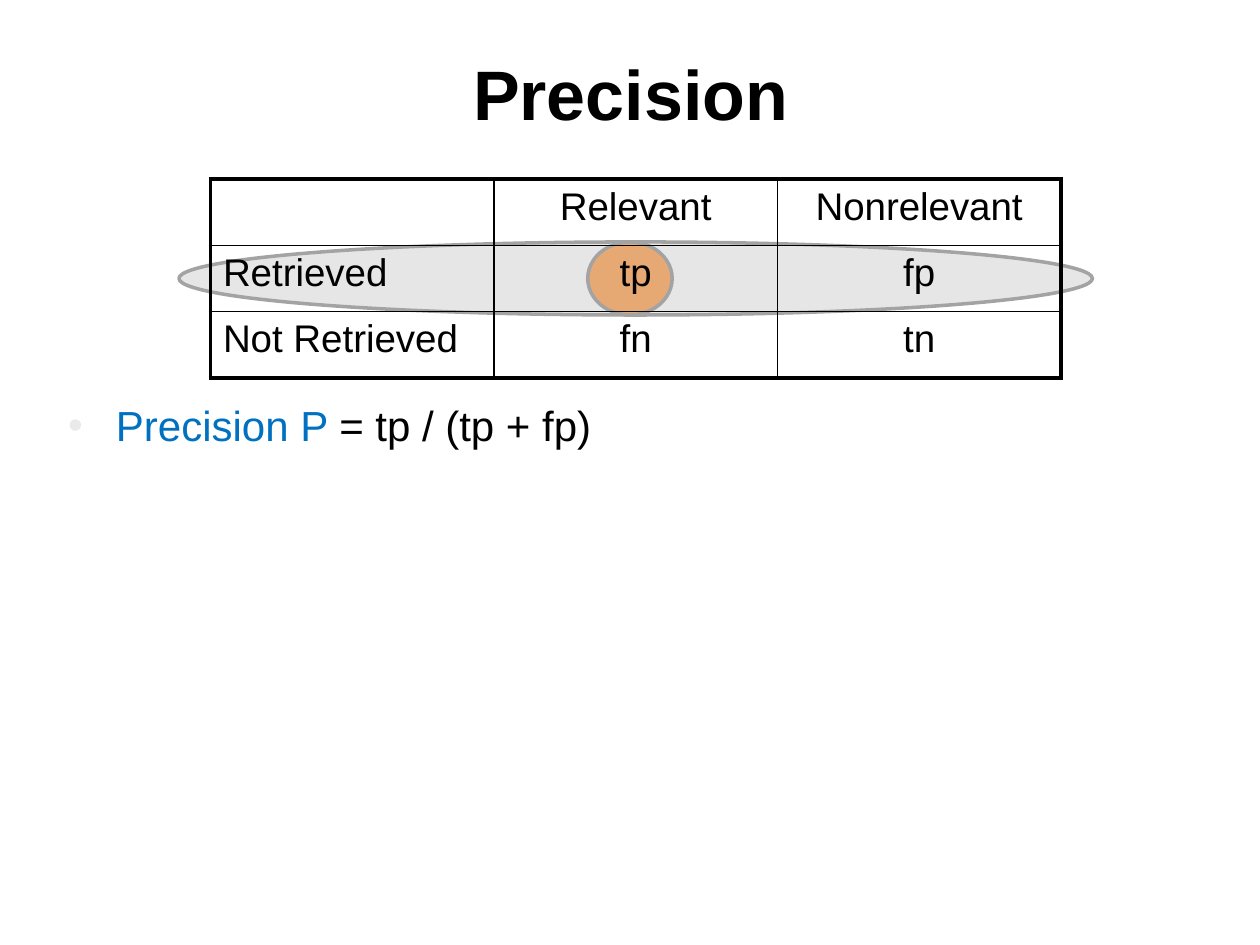
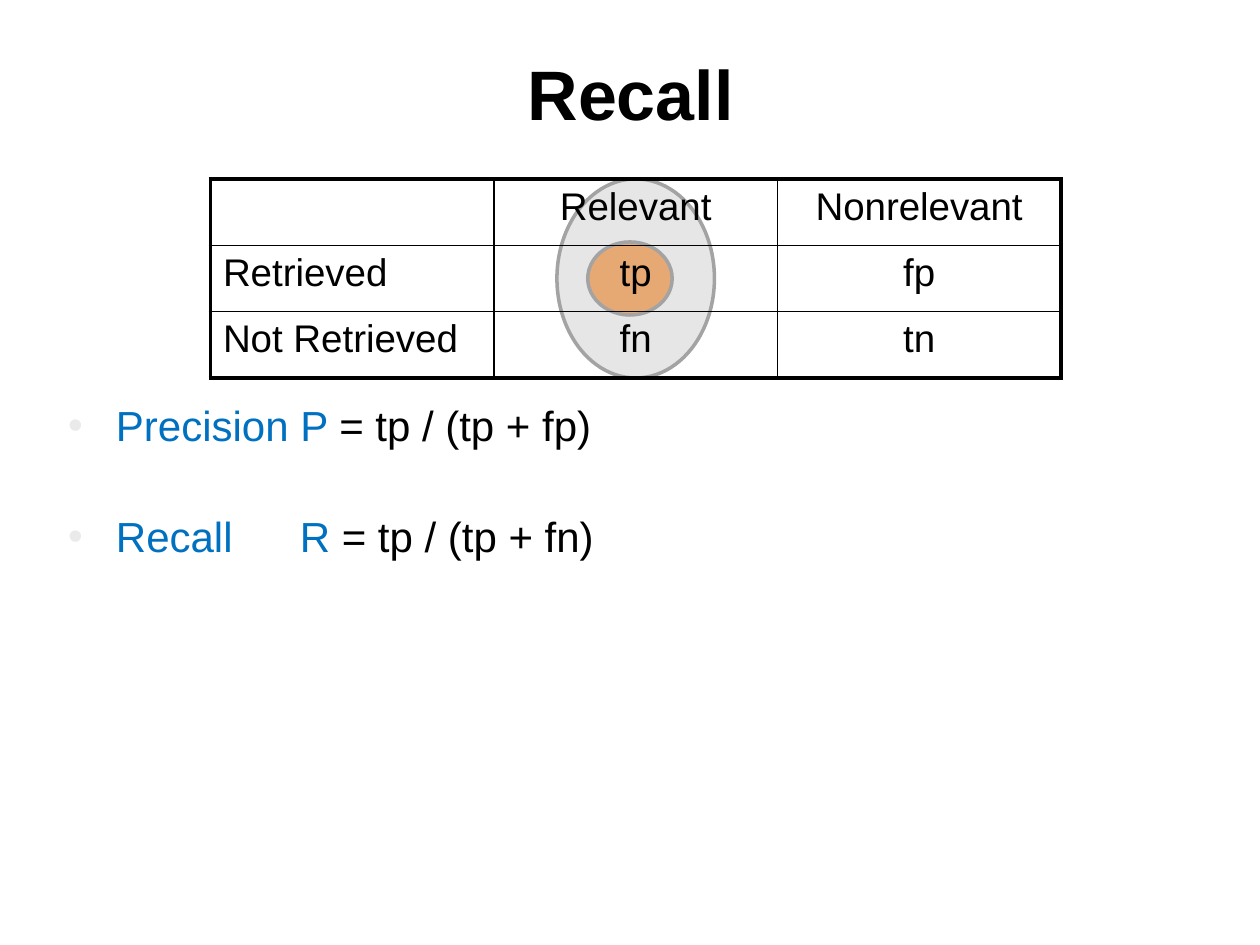
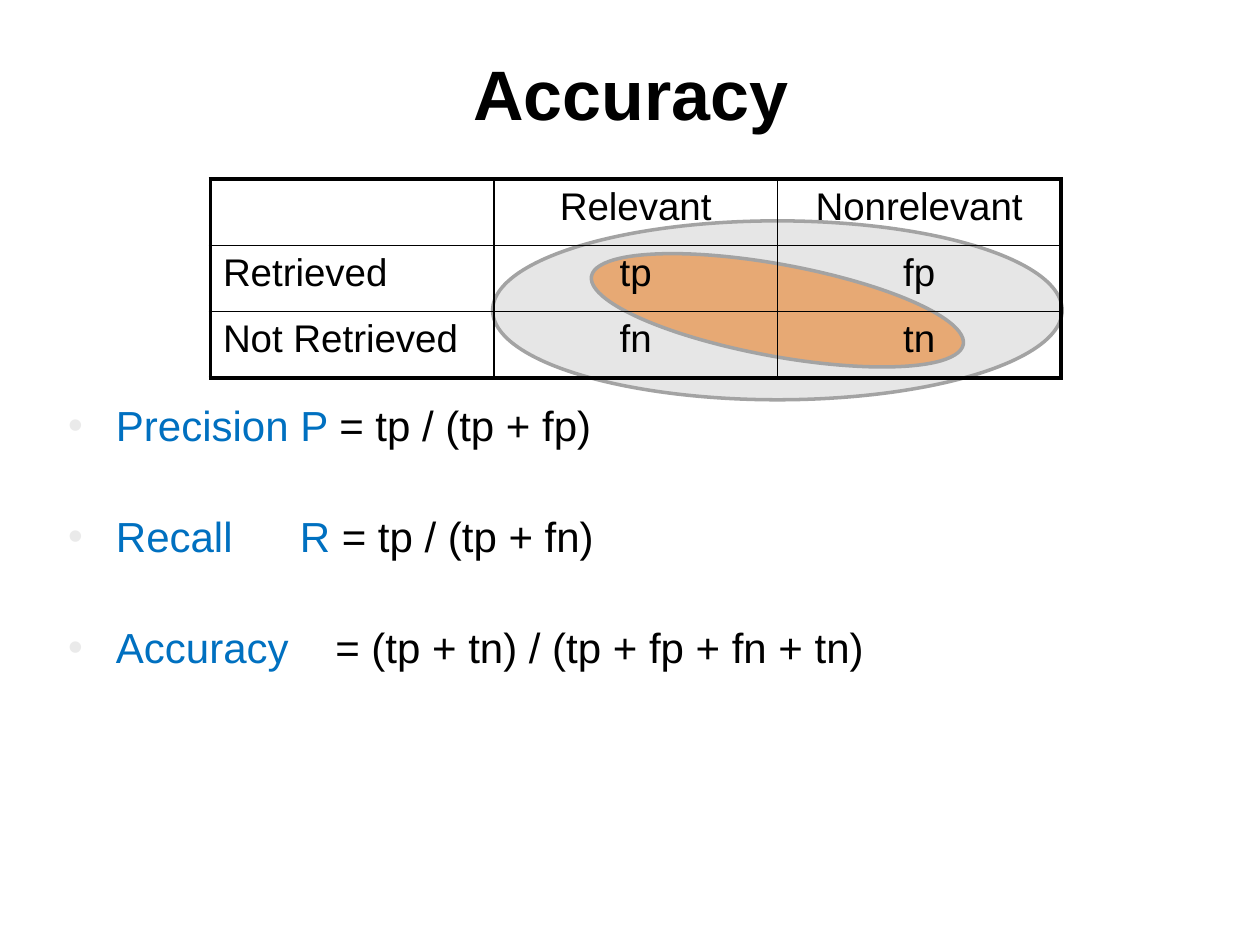
from lxml import etree
from pptx import Presentation
from pptx import util as u
from pptx.dml.color import RGBColor
from pptx.enum import shapes, text
from pptx.oxml.ns import qn

# Content
COLORS = {"text": "000000", "term": "0070C0", "bullet": "EAEAEA",
          "outline": "A3A3A3", "whole": "E6E6E6", "part": "E7A974"}
FONT = "Arial"
MATRIX = [["", "Relevant", "Nonrelevant"],
          ["Retrieved", "tp", "fp"],
          ["Not Retrieved", "fn", "tn"]]

# Each formula: term, points added to the space after it, symbol, rest
PRECISION = ("Precision", 0, "P ", "= tp / (tp + fp)")
RECALL = ("Recall", 31.7, "R ", "= tp / (tp + fn)")
ACCURACY = ("Accuracy", 20, "", "= (tp + tn) / (tp + fp + fn + tn)")

# Each mark: fill, centre in table columns and rows, width, height, rotation
TRUE_POSITIVE = ("part", 1.48, 1.5, 0.67, 0.58, 0)
SLIDES = [
    ("Precision", [PRECISION],
     [("whole", 1.5, 1.5, 7.25, 0.58, 0), TRUE_POSITIVE]),
    ("Recall", [PRECISION, RECALL],
     [("whole", 1.5, 1.5, 1.25, 1.58, 0), TRUE_POSITIVE]),
    ("Accuracy", [PRECISION, RECALL, ACCURACY],
     [("whole", 2, 1.98, 4.52, 1.42, 0), ("part", 2, 1.98, 3, 0.73, 10.4)]),
]

# Layout in inches
WIDTH, HEIGHT = 10, 7.5
TABLE_LEFT, TABLE_TOP = 1.67, 1.42
COLUMN, ROW = 2.25, 1.58 / 3
TITLE_BOX = (0.52, 0.5, 8.97, 1.08)
BODY_BOX = (0.54, 3.23, 8.95, 2.1)
HANGING = 0.38
LINE_SPACING = 0.85


def inches(values):
    return [u.Inches(value) for value in values]


def style(run, size, color="text", bold=False):
    run.font.name, run.font.size, run.font.bold = FONT, u.Pt(size), bold
    run.font.color.rgb = RGBColor.from_string(COLORS[color])


def add_solid(parent, color):
    fill = etree.SubElement(parent, qn("a:solidFill"))
    etree.SubElement(fill, qn("a:srgbClr"), val=COLORS[color])


def add_mark(slide, color, column, row, width, height, rotation):
    left = TABLE_LEFT + column * COLUMN - width / 2
    top = TABLE_TOP + row * ROW - height / 2
    shape = slide.shapes.add_shape(shapes.MSO_SHAPE.OVAL,
                                   *inches((left, top, width, height)))
    shape.rotation = rotation
    shape.shadow.inherit = False
    shape.fill.solid()
    shape.fill.fore_color.rgb = RGBColor.from_string(COLORS[color])
    shape.line.color.rgb = RGBColor.from_string(COLORS["outline"])
    shape.line.width = u.Pt(2)


def add_frame(slide, box):
    frame = slide.shapes.add_textbox(*inches(box)).text_frame
    frame.word_wrap = True
    frame.margin_left = frame.margin_right = 0
    frame.margin_top = frame.margin_bottom = 0
    return frame


def add_title(slide, title):
    frame = add_frame(slide, TITLE_BOX)
    frame.text = title
    paragraph = frame.paragraphs[0]
    paragraph.alignment = text.PP_ALIGN.CENTER
    paragraph.line_spacing = LINE_SPACING
    style(paragraph.runs[0], 40, bold=True)


def add_formulas(slide, formulas):
    frame = add_frame(slide, BODY_BOX)
    for index, (term, gap, symbol, rest) in enumerate(formulas):
        paragraph = frame.add_paragraph() if index else frame.paragraphs[0]
        paragraph.line_spacing = LINE_SPACING
        paragraph.space_before = u.Pt(39 if index else 0)
        for part, color in ((term, "term"), (" ", "term"),
                            (symbol, "term"), (rest, "text")):
            if part:
                run = paragraph.add_run()
                run.text = part
                style(run, 24, color)
        # Widen the space that lines up the symbols
        paragraph.runs[1].font._element.set("spc", str(round(gap * 100)))
        # Bullet with hanging indent
        properties = paragraph._p.get_or_add_pPr()
        properties.set("marL", str(u.Inches(HANGING)))
        properties.set("indent", str(-u.Inches(HANGING)))
        bullet_color = etree.SubElement(properties, qn("a:buClr"))
        etree.SubElement(bullet_color, qn("a:srgbClr"), val=COLORS["bullet"])
        etree.SubElement(properties, qn("a:buFont"), typeface=FONT)
        etree.SubElement(properties, qn("a:buChar"), char="•")


def add_borders(cell, row, column):
    last = len(MATRIX) - 1
    outer = {"L": column == 0, "R": column == last, "T": row == 0, "B": row == last}
    properties = cell._tc.get_or_add_tcPr()
    for side, is_outer in outer.items():
        width = u.Pt(2.25 if is_outer else 1)
        add_solid(etree.SubElement(properties, qn("a:ln" + side), w=str(width)), "text")


def add_matrix(slide):
    count = len(MATRIX)
    box = (TABLE_LEFT, TABLE_TOP, count * COLUMN, count * ROW)
    table = slide.shapes.add_table(count, count, *inches(box)).table
    table.first_row = table.horz_banding = False
    for row, labels in enumerate(MATRIX):
        for column, label in enumerate(labels):
            cell = table.cell(row, column)
            add_borders(cell, row, column)
            cell.fill.background()
            cell.text = label
            paragraph = cell.text_frame.paragraphs[0]
            if column:
                paragraph.alignment = text.PP_ALIGN.CENTER
            for run in paragraph.runs:
                style(run, 22)


def main():
    presentation = Presentation()
    presentation.slide_width, presentation.slide_height = inches((WIDTH, HEIGHT))
    for title, formulas, marks in SLIDES:
        slide = presentation.slides.add_slide(presentation.slide_layouts[6])
        for mark in marks:
            add_mark(slide, *mark)
        add_title(slide, title)
        add_formulas(slide, formulas)
        add_matrix(slide)
    presentation.save("out.pptx")


if __name__ == "__main__":
    main()
